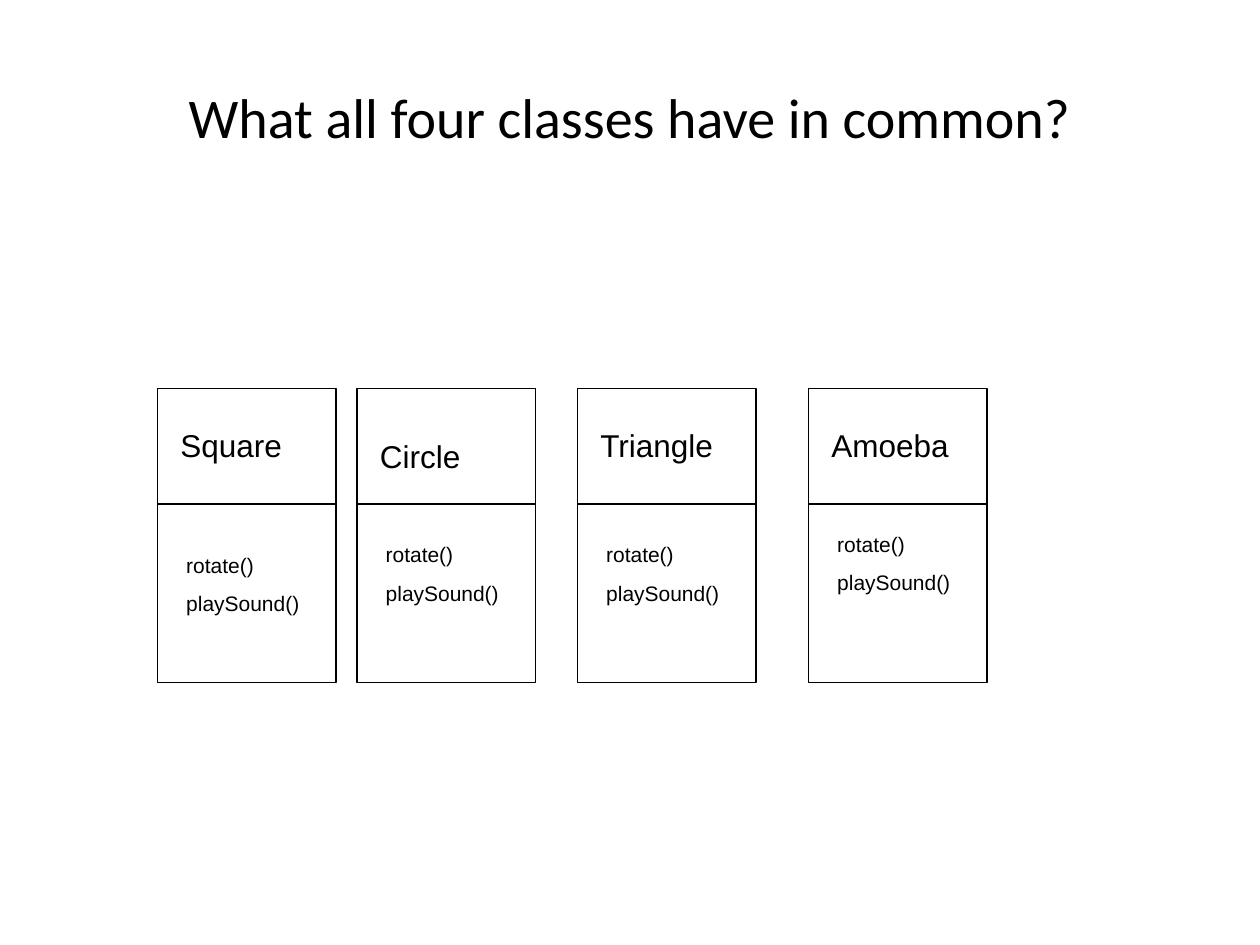
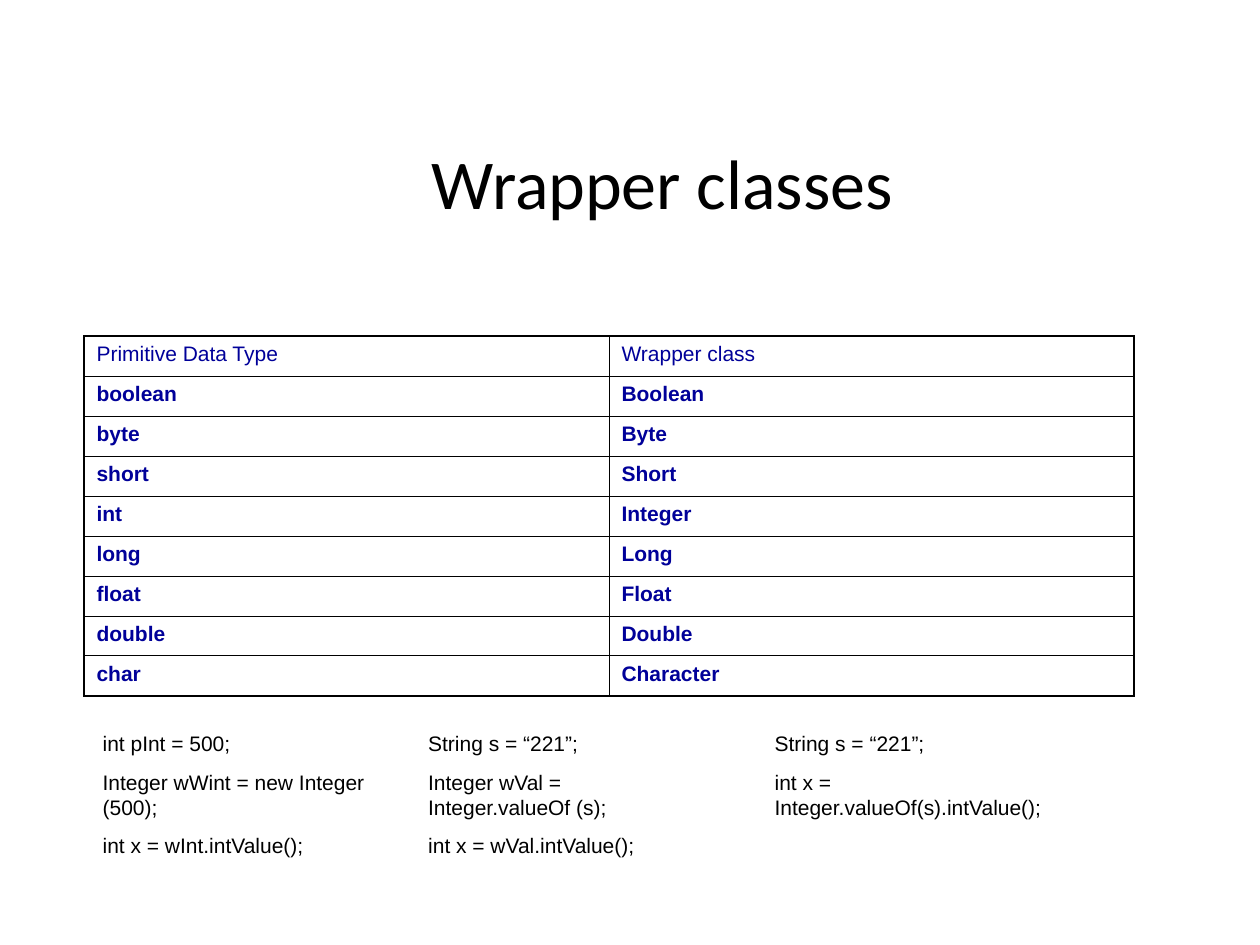
from lxml import etree
from pptx import Presentation
from pptx.dml.color import RGBColor
from pptx.enum.shapes import MSO_CONNECTOR, MSO_SHAPE
from pptx.enum.text import MSO_ANCHOR, MSO_AUTO_SIZE, PP_ALIGN
from pptx.oxml.ns import qn
from pptx.util import Inches, Pt

RECTANGLE = MSO_SHAPE.RECTANGLE
STRAIGHT = MSO_CONNECTOR.STRAIGHT
MIDDLE = MSO_ANCHOR.MIDDLE
GROW = MSO_AUTO_SIZE.SHAPE_TO_FIT_TEXT
CENTER = PP_ALIGN.CENTER
LEFT = PP_ALIGN.LEFT

BLACK = RGBColor(0x00, 0x00, 0x00)
NAVY = RGBColor(0x00, 0x00, 0x99)
TITLE_FONT = "Calibri"
BODY_FONT = "Arial"

GRID = Inches(1) // 12
CARD_TOP, CARD_WIDTH, CARD_HEIGHT = 37, 17, 28
DIVIDER_DROP = 11
THIN, THICK = Pt(0.45), Pt(1.08)

CLASS_CARDS = [
    ("Square", 15, 3, 15),
    ("Circle", 34, 4, 14),
    ("Triangle", 55, 3, 14),
    ("Amoeba", 77, 3, 13),
]
METHODS = [" rotate()", " playSound()"]

WRAPPERS = [
    ("Primitive Data Type", "Wrapper class"),
    ("boolean", "Boolean"),
    ("byte", "Byte"),
    ("short", "Short"),
    ("int", "Integer"),
    ("long", "Long"),
    ("float", "Float"),
    ("double", "Double"),
    ("char", "Character"),
]
CODE_SAMPLES = [
    (8.6, 29.4, ["int pInt = 500;", "Integer wWint = new Integer (500);",
                 "int x = wInt.intValue();"]),
    (39.6, 28.4, ["String s = “221”;", "Integer wVal = Integer.valueOf (s);",
                  "int x = wVal.intValue();"]),
    (72.6, 31.4, ["String s = “221”;", "int x = Integer.valueOf(s).intValue();"]),
]


def grid_box(left, top, width, height):
    return [round(GRID * units) for units in (left, top, width, height)]


def style_text(frame, lines, size, font=BODY_FONT, color=BLACK, bold=False,
               before=0, align=LEFT):
    frame.text = "\n".join(lines)
    for para in frame.paragraphs:
        para.alignment = align
        para.space_before = Pt(before)
        for span in para.runs:
            span.font.name = font
            span.font.size = Pt(size)
            span.font.bold = bold
            span.font.color.rgb = color


def add_title(page, box, text, size):
    frame = page.shapes.add_textbox(*box).text_frame
    frame.word_wrap = True
    frame.vertical_anchor = MIDDLE
    style_text(frame, [text], size, font=TITLE_FONT, align=CENTER)


def add_text(page, box, lines, size, before):
    frame = page.shapes.add_textbox(*box).text_frame
    frame.word_wrap = True
    frame.auto_size = GROW
    style_text(frame, lines, size, before=before)


def add_class_card(page, box, name, name_drop, methods_drop):
    left, top, width, height = box
    outline = page.shapes.add_shape(RECTANGLE, *box)
    outline.shadow.inherit = False
    outline.fill.background()
    outline.line.color.rgb = BLACK
    outline.line.width = Pt(0.75)

    divider_top = top + DIVIDER_DROP * GRID
    divider = page.shapes.add_connector(STRAIGHT, left, divider_top,
                                        left + width, divider_top)
    divider.line.color.rgb = BLACK
    divider.line.width = Pt(0.75)
    etree.SubElement(divider._element.spPr, qn("a:effectLst"))

    text_left, text_width = left + GRID, width - 2 * GRID
    add_text(page, (text_left, top + name_drop * GRID, text_width, Inches(0.4)),
             [name], 18, 11.2)
    add_text(page, (text_left, top + methods_drop * GRID, text_width, Inches(0.61)),
             METHODS, 12, 7.5)


def set_borders(cell, widths):
    properties = cell._tc.get_or_add_tcPr()
    for position, (side, width) in enumerate(widths.items()):
        border = etree.Element(qn(f"a:ln{side}"), w=str(int(width)))
        fill = etree.SubElement(border, qn("a:solidFill"))
        etree.SubElement(fill, qn("a:srgbClr"), val=str(BLACK))
        properties.insert(position, border)


def add_wrapper_table(page, box):
    row_count, column_count = len(WRAPPERS), len(WRAPPERS[0])
    table = page.shapes.add_table(row_count, column_count, *box).table
    table.first_row = False
    table.horz_banding = False
    for row, values in enumerate(WRAPPERS):
        for column, value in enumerate(values):
            cell = table.cell(row, column)
            cell.margin_left = cell.margin_right = Inches(0.1)
            cell.margin_top = cell.margin_bottom = Inches(0.05)
            cell.fill.background()
            style_text(cell.text_frame, [value], 12, color=NAVY,
                       bold=row > 0, before=3)
            set_borders(cell, {
                "L": THICK if column == 0 else THIN,
                "R": THICK if column == column_count - 1 else THIN,
                "T": THICK if row == 0 else THIN,
                "B": THICK if row == row_count - 1 else THIN,
            })


def build_common_methods(page):
    add_title(page, grid_box(6, 3.6, 108, 15),
              "What all four classes have in common?", 32)
    for name, left, name_drop, methods_drop in CLASS_CARDS:
        add_class_card(page, grid_box(left, CARD_TOP, CARD_WIDTH, CARD_HEIGHT),
                       name, name_drop, methods_drop)


def build_wrapper_classes(page):
    add_title(page, grid_box(9, 14, 108.2, 6.6), "Wrapper classes", 40)
    add_wrapper_table(page, grid_box(8, 32, 100, 34.3))
    for left, width, lines in CODE_SAMPLES:
        height = 13.3 if len(lines) == 3 else 9.7
        add_text(page, grid_box(left, 69, width, height), lines, 12, 7.5)


def main():
    deck = Presentation()
    deck.slide_width, deck.slide_height = Inches(10), Inches(7.5)
    blank = deck.slide_layouts[6]
    for build in (build_common_methods, build_wrapper_classes):
        build(deck.slides.add_slide(blank))
    deck.save("out.pptx")


if __name__ == "__main__":
    main()
